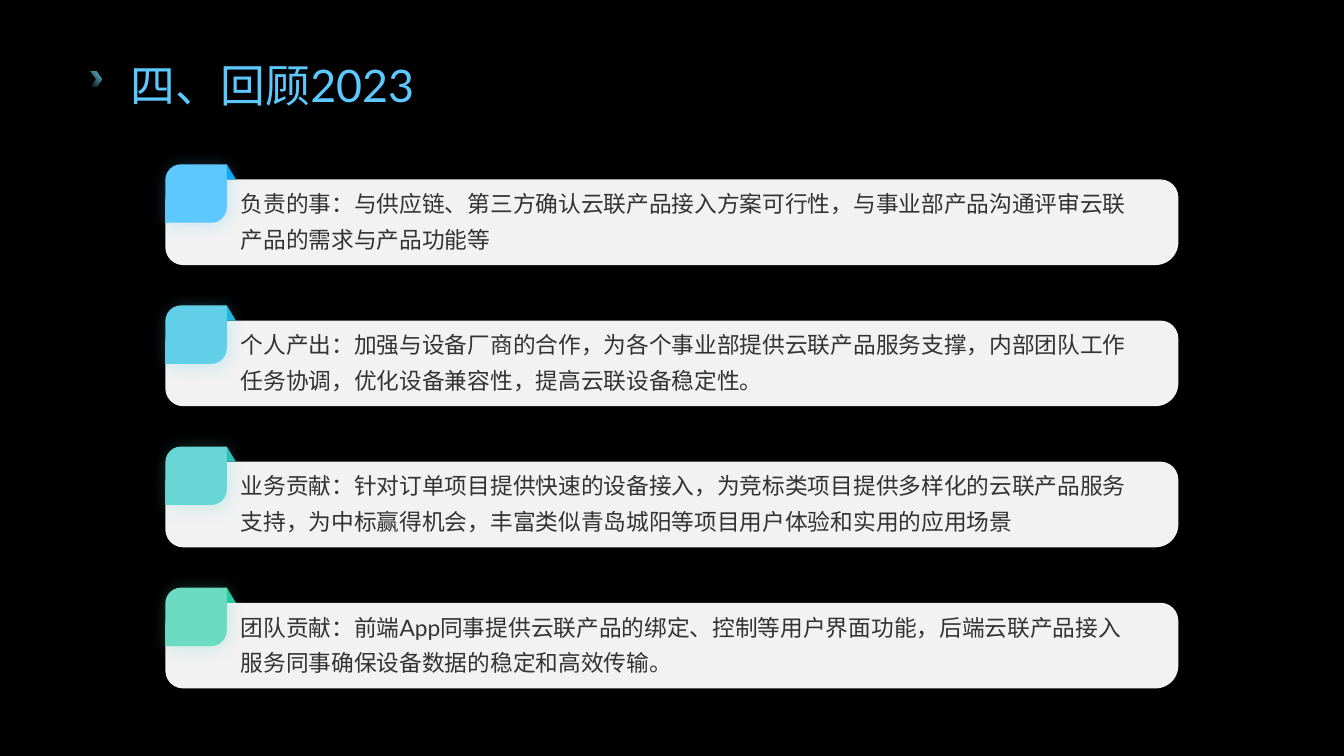
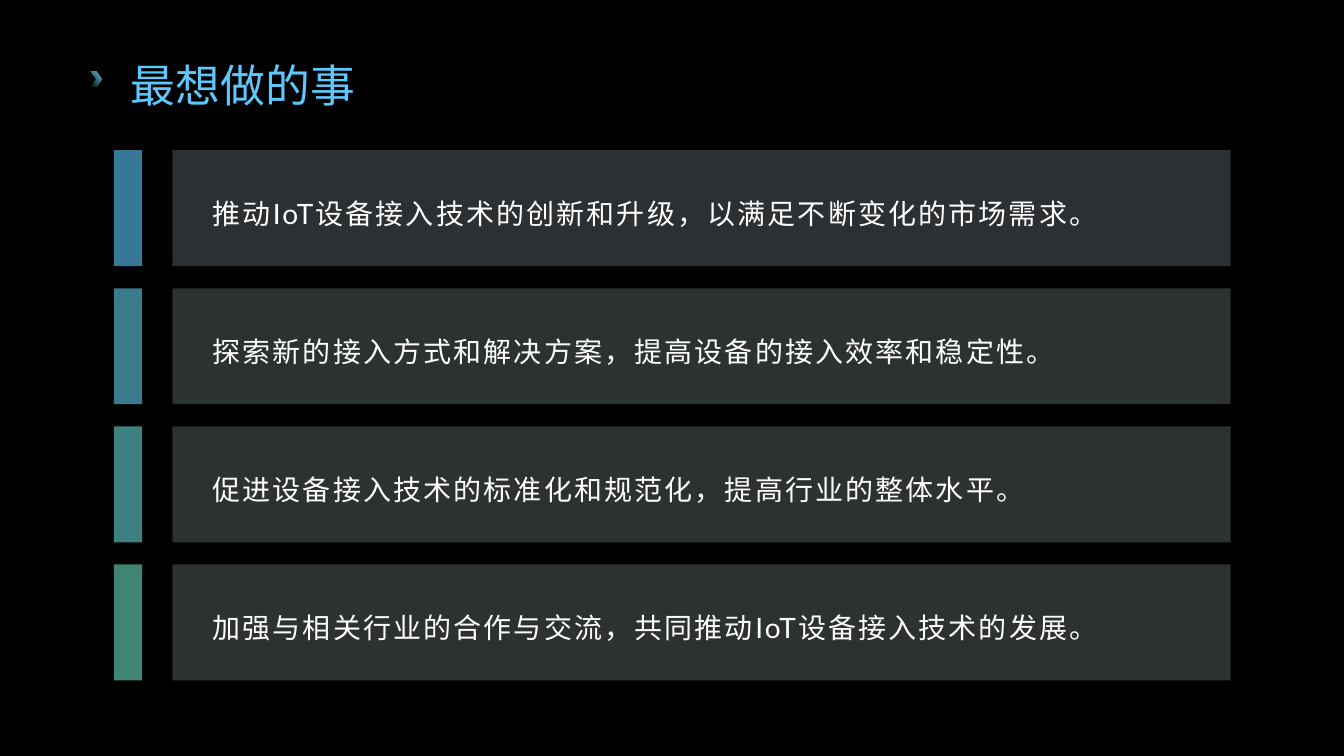
from lxml import etree
from pptx import Presentation
from pptx.dml.color import RGBColor
from pptx.enum.shapes import MSO_SHAPE as Shape
from pptx.enum.text import MSO_ANCHOR as Anchor
from pptx.oxml.ns import qn
from pptx.util import Emu, Inches, Pt

FONT = "Lato"
COLORS = {
    "background": "000000",
    "title": "5DC8FD",
    "chevron": "62CFE9",
    "card": "F2F2F2",
    "card_text": "333333",
    "wish_text": "FFFFFF",
    "shadow": "000000",
}
# One accent per row: main colour, darker fold, pale panel tint
ACCENTS = [
    {"main": "5DC8FD", "fold": "08ABFC", "tint": "DFF4FF"},
    {"main": "62CFE9", "fold": "1FB6DA", "tint": "E0F5FB"},
    {"main": "67D6D5", "fold": "33BBBA", "tint": "E1F7F7"},
    {"main": "6BDCC1", "fold": "2FC6A2", "tint": "E1F8F3"},
]
REVIEW_ITEMS = [
    "负责的事：与供应链、第三方确认云联产品接入方案可行性，与事业部产品沟通评审云联产品的需求与产品功能等",
    "个人产出：加强与设备厂商的合作，为各个事业部提供云联产品服务支撑，内部团队工作任务协调，优化设备兼容性，提高云联设备稳定性。",
    "业务贡献：针对订单项目提供快速的设备接入，为竞标类项目提供多样化的云联产品服务支持，为中标赢得机会，丰富类似青岛城阳等项目用户体验和实用的应用场景",
    "团队贡献：前端App同事提供云联产品的绑定、控制等用户界面功能，后端云联产品接入服务同事确保设备数据的稳定和高效传输。",
]
WISHES = [
    "推动IoT设备接入技术的创新和升级，以满足不断变化的市场需求。",
    "探索新的接入方式和解决方案，提高设备的接入效率和稳定性。",
    "促进设备接入技术的标准化和规范化，提高行业的整体水平。",
    "加强与相关行业的合作与交流，共同推动IoT设备接入技术的发展。",
]


def rgb(value):
    return RGBColor.from_string(value)


def add_alpha(color_element, percent):
    alpha = etree.SubElement(color_element, qn("a:alpha"))
    alpha.set("val", str(percent * 1000))


def add_block(slide, kind, box, color, opacity=100, adjustments=()):
    """Add a borderless shape; box is left, top, width, height in inches."""
    shape = slide.shapes.add_shape(kind, *map(Inches, box))
    shape.shadow.inherit = False
    shape.line.fill.background()
    shape.fill.solid()
    shape.fill.fore_color.rgb = rgb(color)
    if opacity < 100:
        add_alpha(shape.fill._xPr.find(".//" + qn("a:srgbClr")), opacity)
    for index, value in enumerate(adjustments):
        shape.adjustments[index] = value
    return shape


def add_shadow(shape, color, opacity, blur, distance, angle):
    effects = shape._element.spPr.find(qn("a:effectLst"))
    shadow = etree.SubElement(effects, qn("a:outerShdw"))
    shadow.set("blurRad", str(Pt(blur)))
    shadow.set("dist", str(Pt(distance)))
    shadow.set("dir", str(angle * 60000))
    shadow.set("algn", "ctr")
    shadow.set("rotWithShape", "0")
    color_element = etree.SubElement(shadow, qn("a:srgbClr"))
    color_element.set("val", color)
    add_alpha(color_element, opacity)


def add_text(slide, text, box, size, color, line_spacing=1.3,
             top_inset=0.05, bottom_inset=0.05, letter_spacing=0):
    frame = slide.shapes.add_textbox(*map(Inches, box)).text_frame
    frame.word_wrap = True
    frame.vertical_anchor = Anchor.MIDDLE
    frame.margin_top = Inches(top_inset)
    frame.margin_bottom = Inches(bottom_inset)
    frame.text = text
    paragraph = frame.paragraphs[0]
    paragraph.line_spacing = line_spacing
    run = paragraph.runs[0]
    run.font.name = FONT
    run.font.size = Pt(size)
    run.font.color.rgb = rgb(color)
    if letter_spacing:
        run.font._element.set("spc", str(round(letter_spacing * 100)))


def add_titled_slide(presentation, title):
    slide = presentation.slides.add_slide(presentation.slide_layouts[6])
    slide.background.fill.solid()
    slide.background.fill.fore_color.rgb = rgb(COLORS["background"])

    # Chevron that fades in towards the upper right
    chevron = add_block(slide, Shape.CHEVRON, (0.9, 0.71, 0.11, 0.15), COLORS["chevron"])
    chevron.fill.gradient()
    chevron.fill.gradient_angle = 45
    for stop in chevron.fill.gradient_stops:
        stop.color.rgb = rgb(COLORS["chevron"])
    add_alpha(chevron._element.spPr.find(".//" + qn("a:srgbClr")), 0)

    add_text(slide, title, (1.2, 0.45, 11.46, 0.67), 32, COLORS["title"],
             line_spacing=1.2, top_inset=0, bottom_inset=0)
    return slide


def add_review_card(slide, top, text, accent):
    """Card with a folded badge over its upper left corner."""
    left, badge_width, fold_height = 1.64, 0.61, 0.15
    card = add_block(slide, Shape.ROUND_2_DIAG_RECTANGLE,
                     (left, top + fold_height, 10.05, 0.85),
                     COLORS["card"], adjustments=(0.267, 0.208))
    add_shadow(card, COLORS["shadow"], 23, 20, 3, 107)
    badge = add_block(slide, Shape.ROUND_2_DIAG_RECTANGLE,
                      (left, top, badge_width, 0.58),
                      accent["main"], adjustments=(0.267, 0))
    add_shadow(badge, accent["main"], 31, 13, 2, 45)
    add_block(slide, Shape.RIGHT_TRIANGLE,
              (left + badge_width, top, 0.09, fold_height), accent["fold"])
    add_text(slide, text, (2.29, top + 0.17, 9.08, 0.83), 16.2,
             COLORS["card_text"], top_inset=0, bottom_inset=0.12)


def add_wish_row(slide, top, text, accent):
    """Tinted panel with an accent bar on its left."""
    height, padding = 1.15, 0.1
    add_block(slide, Shape.RECTANGLE, (1.71, top, 10.5, height), accent["tint"], 20)
    add_block(slide, Shape.RECTANGLE, (1.13, top, 0.28, height), accent["main"], 60)
    add_text(slide, text, (2.01, top + padding, 10.04, height - 2 * padding), 20,
             COLORS["wish_text"], letter_spacing=1.5)


def add_rows(slide, add_row, texts, first_top, step):
    for index, (text, accent) in enumerate(zip(texts, ACCENTS)):
        add_row(slide, first_top + index * step, text, accent)


def main():
    presentation = Presentation()
    presentation.slide_width = Emu(12192000)
    presentation.slide_height = Inches(7.5)

    # Review of the year
    review = add_titled_slide(presentation, "四、回顾2023")
    add_rows(review, add_review_card, REVIEW_ITEMS, first_top=1.63, step=1.4)

    # Plans
    plans = add_titled_slide(presentation, "最想做的事")
    add_rows(plans, add_wish_row, WISHES, first_top=1.49, step=1.37)

    presentation.save("out.pptx")


if __name__ == "__main__":
    main()
